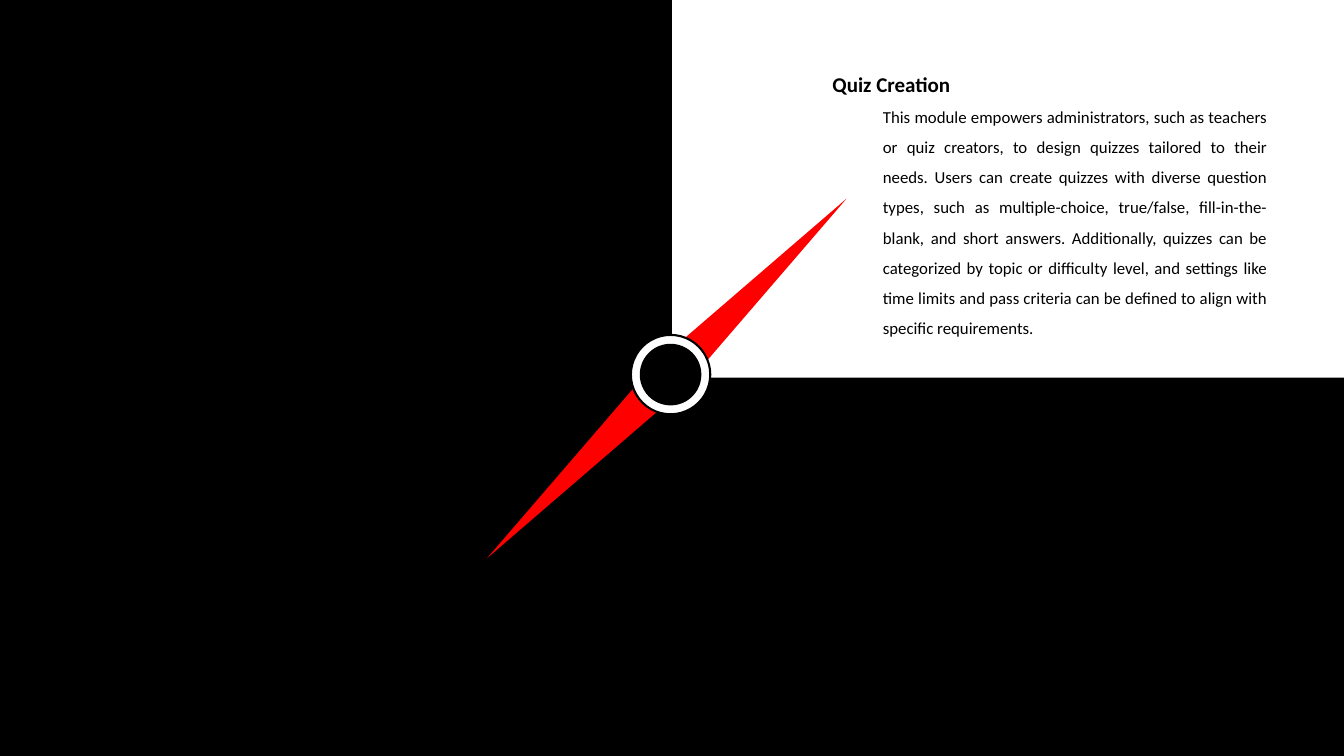
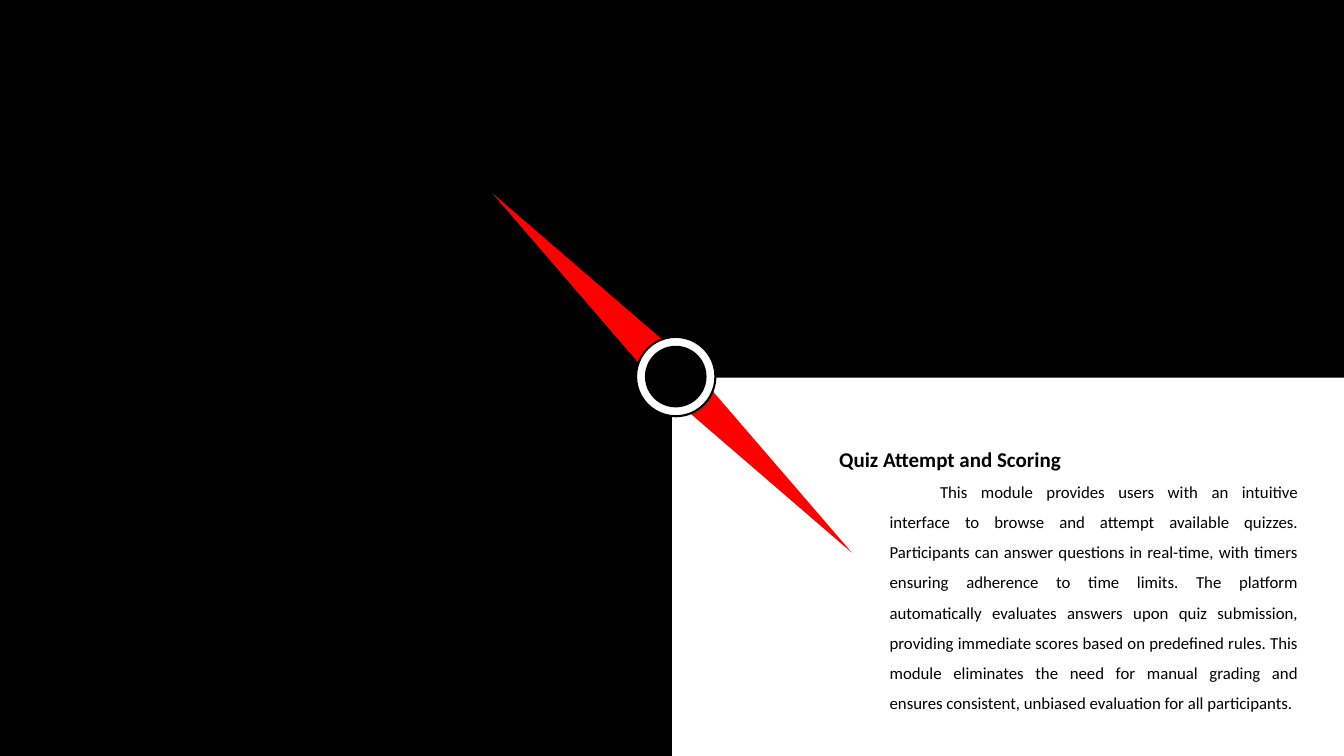
from math import cos, radians, sin

from pptx import Presentation
from pptx.dml.color import RGBColor
from pptx.enum.shapes import MSO_SHAPE
from pptx.enum.text import MSO_AUTO_SIZE, PP_ALIGN
from pptx.util import Cm, Pt

PIE = MSO_SHAPE.PIE
TRIANGLE = MSO_SHAPE.ISOSCELES_TRIANGLE
CONNECTOR_DOT = MSO_SHAPE.FLOWCHART_CONNECTOR
JUSTIFY = PP_ALIGN.JUSTIFY
GROW = MSO_AUTO_SIZE.SHAPE_TO_FIT_TEXT

# Shared style
WIDTH, HEIGHT = 33.87, 19.05
COLORS = {"dark": "000000", "light": "FFFFFF", "needle": "FF0000"}
HEADING = {"name": "Calibri", "size": Pt(15), "bold": True}
BODY = {"name": "Calibri", "size": Pt(12), "bold": False}
PARAGRAPH = {"alignment": JUSTIFY, "line_spacing": 1.5}
INDENT = 1.27

# Dial sizes and distances from the hub, in cm
PIE_SIZE = (41.86, 41.63)
NEEDLE_SIZE = (0.97, 6.53)
NEEDLE_ARMS = ((0, 3.01), (180, 3.28))  # turn, distance to the arm's middle
HUB_RINGS = ((2.0, "light"), (1.5, "dark"))

SLIDES = [
    {
        "turn": 0,
        "hub": (16.9, 9.44),
        "box": (20.73, 1.35, 11.46, 7.9),
        "first_line": 0,
        "heading": "Quiz Creation",
        "body": "This module empowers administrators, such as teachers or quiz "
                "creators, to design quizzes tailored to their needs. Users can "
                "create quizzes with diverse question types, such as "
                "multiple-choice, true/false, fill-in-the-blank, and short "
                "answers. Additionally, quizzes can be categorized by topic or "
                "difficulty level, and settings like time limits and pass "
                "criteria can be defined to align with specific requirements.",
    },
    {
        "turn": 90,
        "hub": (17.03, 9.49),
        "box": (20.9, 10.8, 12.07, 7.29),
        "first_line": INDENT,
        "heading": "Quiz Attempt and Scoring",
        "body": "This module provides users with an intuitive interface to browse "
                "and attempt available quizzes. Participants can answer questions "
                "in real-time, with timers ensuring adherence to time limits. The "
                "platform automatically evaluates answers upon quiz submission, "
                "providing immediate scores based on predefined rules. This "
                "module eliminates the need for manual grading and ensures "
                "consistent, unbiased evaluation for all participants.",
    },
]


class Deck:
    def __init__(self):
        self.presentation = Presentation()
        self.presentation.slide_width = Cm(WIDTH)
        self.presentation.slide_height = Cm(HEIGHT)
        self.slide = None

    def color(self, name):
        return RGBColor.from_string(COLORS[name])

    def new_slide(self):
        blank = self.presentation.slide_layouts[6]
        self.slide = self.presentation.slides.add_slide(blank)

    def centered_shape(self, parent, kind, center, size, fill, rotation=0, outline=None):
        left, top = (middle - length / 2 for middle, length in zip(center, size))
        shape = parent.shapes.add_shape(kind, Cm(left), Cm(top), *map(Cm, size))
        shape.rotation = rotation
        shape.shadow.inherit = False
        shape.fill.solid()
        shape.fill.fore_color.rgb = self.color(fill)
        if outline:
            shape.line.color.rgb = self.color(outline)
            shape.line.width = Pt(1.5)
        else:
            shape.line.fill.background()

    def dial(self, turn, hub):
        """Dark three-quarter pie with a needle that points into the open quarter."""
        group = self.slide.shapes.add_group_shape()
        self.centered_shape(group, PIE, (WIDTH / 2, HEIGHT / 2 - 0.01), PIE_SIZE, "dark", turn)
        hub_x, hub_y = hub
        for arm_turn, distance in NEEDLE_ARMS:
            angle = 45 + turn + arm_turn
            center = (hub_x + distance * sin(radians(angle)),
                      hub_y - distance * cos(radians(angle)))
            self.centered_shape(group, TRIANGLE, center, NEEDLE_SIZE, "needle", angle)
        for diameter, fill in HUB_RINGS:
            self.centered_shape(group, CONNECTOR_DOT, hub, (diameter, diameter), fill,
                                outline="dark")

    def paragraph(self, paragraph, text, font_format, left=0, first_line=0):
        for name, value in PARAGRAPH.items():
            setattr(paragraph, name, value)
        properties = paragraph._p.get_or_add_pPr()
        properties.set("marL", str(Cm(left)))
        properties.set("indent", str(Cm(first_line)))
        run = paragraph.add_run()
        run.text = text
        for name, value in font_format.items():
            setattr(run.font, name, value)
        run.font.color.rgb = self.color("dark")

    def module_text(self, box, heading, body, first_line):
        frame = self.slide.shapes.add_textbox(*map(Cm, box)).text_frame
        frame.word_wrap = True
        frame.auto_size = GROW
        self.paragraph(frame.paragraphs[0], heading, HEADING)
        self.paragraph(frame.add_paragraph(), body, BODY, INDENT, first_line)


def main():
    deck = Deck()
    for content in SLIDES:
        deck.new_slide()
        deck.dial(content["turn"], content["hub"])
        deck.module_text(content["box"], content["heading"], content["body"],
                         content["first_line"])
    deck.presentation.save("out.pptx")


if __name__ == "__main__":
    main()
